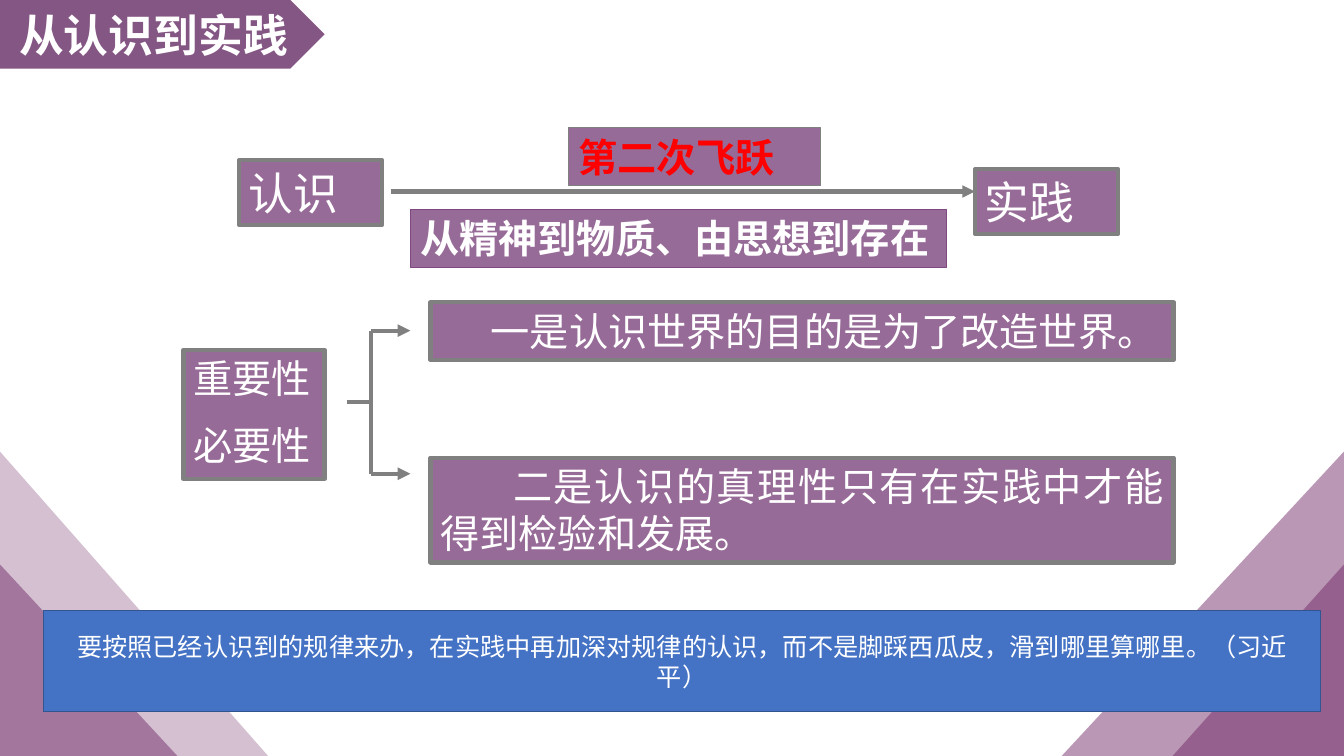
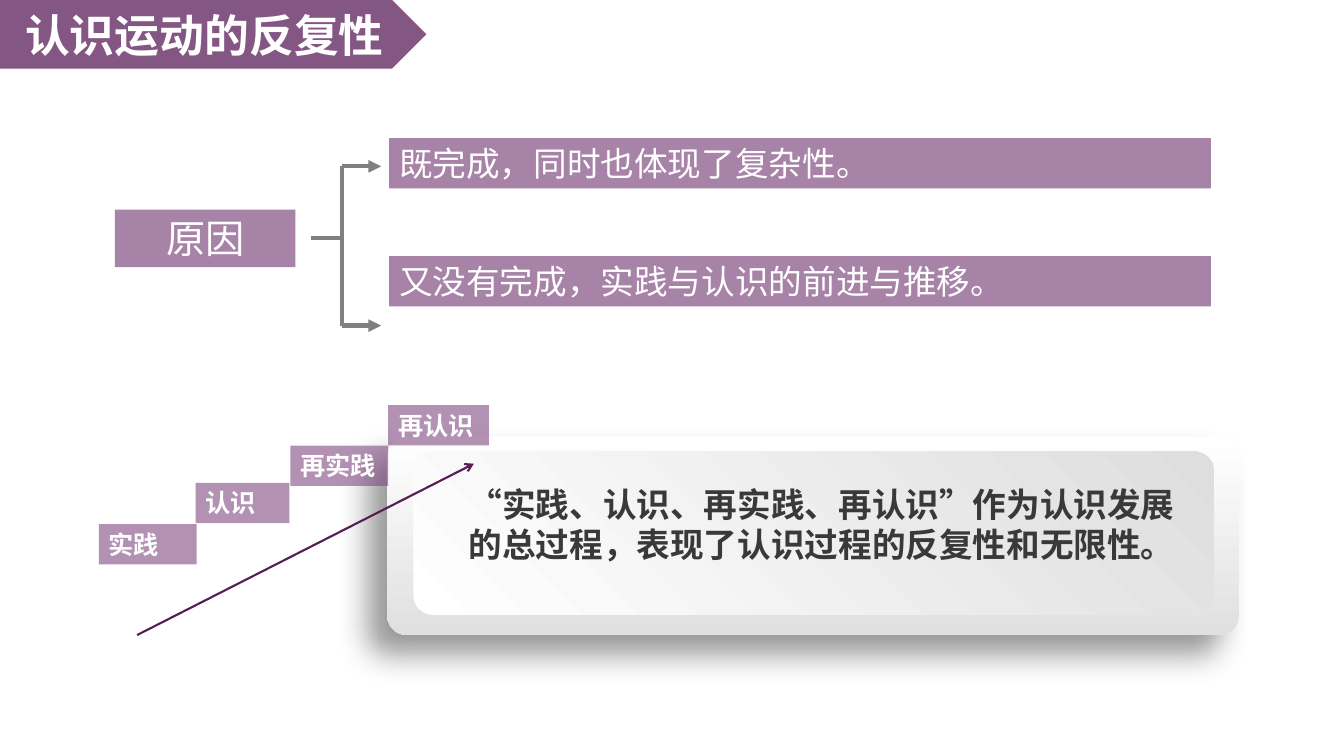
from lxml import etree
from pptx import Presentation
from pptx.dml.color import RGBColor
from pptx.enum.shapes import MSO_CONNECTOR, MSO_SHAPE
from pptx.enum.text import MSO_ANCHOR, MSO_AUTO_SIZE, PP_ALIGN
from pptx.oxml.ns import qn
from pptx.util import Pt

RECT, ROUND = MSO_SHAPE.RECTANGLE, MSO_SHAPE.ROUNDED_RECTANGLE
PENTAGON, TRIANGLE = MSO_SHAPE.PENTAGON, MSO_SHAPE.RIGHT_TRIANGLE
LEFT, CENTER, JUSTIFY = PP_ALIGN.LEFT, PP_ALIGN.CENTER, PP_ALIGN.JUSTIFY
TOP, MIDDLE = MSO_ANCHOR.TOP, MSO_ANCHOR.MIDDLE
FIT, FIXED = MSO_AUTO_SIZE.SHAPE_TO_FIT_TEXT, MSO_AUTO_SIZE.NONE
STRAIGHT = MSO_CONNECTOR.STRAIGHT
PX = 9144  # 100 px to the inch


class Theme:
    font = "Noto Sans CJK SC"
    # Colours
    banner, plum, corner, arrow = "5A1B58", "7F4980", "6A1F5F", "551C55"
    grey, white, red, dark = "808080", "FFFFFF", "FF0000", "3B3838"
    blue, blue_edge = "4472C4", "325491"
    card, panel = ("FFFFFF", "E0E0E0"), ("FFFFFF", "DDDEDD")
    # Type sizes
    title, large, body, note, small = 32, 32, 28, 24, 18
    # Line widths
    thick, medium, thin, hair = 3, 1.5, 1, 0.75


def add_box(s, at, text="", shape=RECT, fill=None, alpha=100, angle=0, line=None,
            width=Theme.thick, size=Theme.body, color=Theme.white, bold=False,
            align=LEFT, anchor=TOP, fit=True, indent=0, rotation=0, adj=None):
    """Add a shape, or a text box when shape is None, with its text."""
    x, y, w, h = [v * PX for v in at]
    if shape is None:
        sp = s.shapes.add_textbox(x, y, w, h)
    else:
        sp = s.shapes.add_shape(shape, x, y, w, h)
        sp.shadow.inherit = False
        sp.rotation = rotation
        if adj is not None:
            sp.adjustments[0] = adj
        if isinstance(fill, tuple):
            sp.fill.gradient()
            sp.fill.gradient_angle = angle
            for stop, stop_color in zip(sp.fill.gradient_stops, fill):
                stop.color.rgb = RGBColor.from_string(stop_color)
        else:
            sp.fill.solid()
            sp.fill.fore_color.rgb = RGBColor.from_string(fill)
            clr = sp.fill._xPr.find(".//" + qn("a:srgbClr"))
            etree.SubElement(clr, qn("a:alpha"), val=str(alpha * 1000))
        if line:
            sp.line.color.rgb = RGBColor.from_string(line)
            sp.line.width = Pt(width)
        else:
            sp.line.fill.background()
    if text:
        tf = sp.text_frame
        tf.word_wrap = True
        tf.auto_size = FIT if fit else FIXED
        tf.vertical_anchor = anchor
        for i, part in enumerate(text.split("\n")):
            p = tf.add_paragraph() if i else tf.paragraphs[0]
            p.alignment = align
            if i:
                p.space_before = Pt(size / 2)
            if indent:
                p._p.get_or_add_pPr().set("indent", str(indent * PX))
            r = p.add_run()
            r.text = part
            r.font.size, r.font.bold, r.font.name = Pt(size), bold, Theme.font
            r.font.color.rgb = RGBColor.from_string(color)
            etree.SubElement(r._r.get_or_add_rPr(), qn("a:ea"), typeface=Theme.font)
    return sp


def add_line(s, x1, y1, x2, y2, color=Theme.grey, width=Theme.thick, tail=None):
    """Add a straight line, with an arrowhead at its end if tail names one."""
    c = s.shapes.add_connector(STRAIGHT, x1 * PX, y1 * PX, x2 * PX, y2 * PX)
    c.line.color.rgb = RGBColor.from_string(color)
    c.line.width = Pt(width)
    if tail:
        etree.SubElement(c.line._get_or_add_ln(), qn("a:tailEnd"), type=tail)
    etree.SubElement(c._element.spPr, qn("a:effectLst"))


prs = Presentation()
prs.slide_width, prs.slide_height = 1333 * PX, 750 * PX

# Both slides: title banner and two-way bracket (stem start, spine, stem, top, bottom)
slides = []
for title, title_w, (x0, spine, stem_y, top, bottom) in [
    ("从认识到实践", 322, (344, 368, 399, 328, 470)),
    ("认识运动的反复性", 423, (308, 339, 236, 165, 323)),
]:
    s = prs.slides.add_slide(prs.slide_layouts[6])
    add_box(s, (0, 0, title_w, 68), title, shape=PENTAGON, fill=Theme.banner, alpha=74,
            size=Theme.title, bold=True, align=CENTER, anchor=MIDDLE, fit=False)
    add_line(s, x0, stem_y, spine, stem_y)
    add_line(s, spine, top, spine, bottom)
    for y in (top, bottom):
        add_line(s, spine, y, spine + 39, y, tail="triangle")
    slides.append(s)
first, second = slides

# Slide 1: the leap from knowledge to practice
framed = dict(fill=Theme.plum, alpha=81, line=Theme.grey, align=JUSTIFY)
for text, x, y in [("认识", 237, 159), ("实践", 967, 168)]:
    add_box(first, (x, y, 142, 64), text, size=Theme.large, **framed)
add_line(first, 388, 190, 967, 190, tail="triangle")
for text, at, color, edge in [
    ("第二次飞跃", (564, 127, 250, 57), Theme.red, Theme.grey),
    ("从精神到物质、由思想到存在", (407, 208, 532, 57), Theme.white, Theme.plum),
]:
    add_box(first, at, text, color=color, bold=True, width=Theme.hair,
            **{**framed, "line": edge})

# Slide 1: why it matters
for text, at, indent in [
    ("重要性\n必要性", (182, 347, 140, 128), 0),
    ("一是认识世界的目的是为了改造世界。", (427, 300, 737, 57), 50),
    ("二是认识的真理性只有在实践中才能得到检验和发展。", (427, 454, 737, 104), 72),
]:
    add_box(first, at, text, indent=indent, **framed)

# Slide 1: corner triangles and quotation
for at, rotation, alpha in [
    ((1042, 459, 302, 280), 270, 46),
    ((1153, 570, 190, 170), 270, 46),
    ((0, 448, 266, 302), 0, 28),
    ((0, 560, 176, 190), 0, 46),
]:
    add_box(first, at, shape=TRIANGLE, fill=Theme.corner, alpha=alpha, rotation=rotation)
add_box(first, (43, 606, 1267, 100),
        "要按照已经认识到的规律来办，在实践中再加深对规律的认识，而不是脚踩西瓜皮，滑到哪里算哪里。（习近平）",
        fill=Theme.blue, line=Theme.blue_edge, width=Theme.thin, size=Theme.small,
        align=CENTER, anchor=MIDDLE, fit=False)

# Slide 2: raised card with its statement
card = add_box(second, (384, 433, 845, 197), shape=ROUND, fill=Theme.card, angle=270, adj=0.1)
effects = card._element.spPr.find(qn("a:effectLst"))
shadow = etree.SubElement(effects, qn("a:outerShdw"), blurRad=str(Pt(22)), dist=str(Pt(20)),
                          dir="8100000", algn="tr", rotWithShape="0")
black = etree.SubElement(shadow, qn("a:srgbClr"), val="000000")
etree.SubElement(black, qn("a:alpha"), val="40000")
add_box(second, (410, 448, 794, 162), shape=ROUND, fill=Theme.panel, angle=45, adj=0.12)
add_box(second, (455, 475, 731, 92),
        "“实践、认识、再实践、再认识”作为认识发展的总过程，表现了认识过程的反复性和无限性。",
        shape=None, size=Theme.note, color=Theme.dark, bold=True)

# Slide 2: reasons
reason = dict(fill=Theme.plum, alpha=68)
add_box(second, (114, 208, 179, 57), "原因", align=CENTER, **reason)
for text, y in [("既完成，同时也体现了复杂性。", 137), ("又没有完成，实践与认识的前进与推移。", 254)]:
    add_box(second, (386, y, 815, 50), text, size=Theme.note, **reason)

# Slide 2: rising steps
for text, x, y, w in [
    ("实践", 98, 520, 97),
    ("认识", 194, 479, 93),
    ("再实践", 288, 442, 97),
    ("再认识", 385, 402, 100),
]:
    add_box(second, (x, y, w, 40), text, fill=Theme.plum, alpha=60, size=Theme.small, bold=True)
add_line(second, 136, 630, 470, 460, color=Theme.arrow, width=Theme.medium, tail="arrow")

prs.save("out.pptx")
